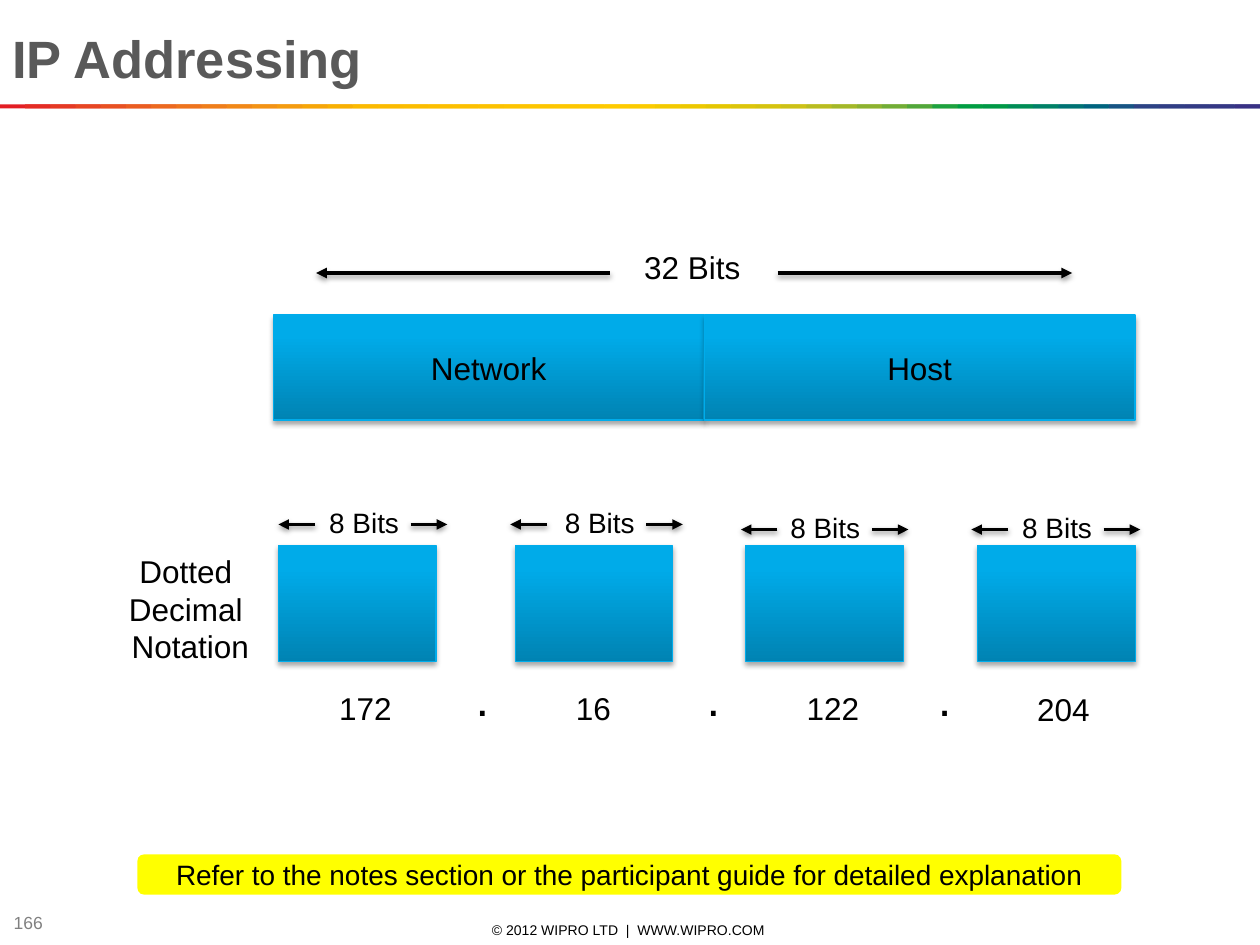
import pptx
import pptx.util
import pptx.dml.color
import pptx.enum.shapes
import pptx.enum.text
import pptx.oxml
import pptx.oxml.ns

Pt = pptx.util.Pt
SHAPE = pptx.enum.shapes.MSO_SHAPE
ALIGN = pptx.enum.text.PP_ALIGN
MIDDLE = pptx.enum.text.MSO_ANCHOR.MIDDLE
TOP = pptx.enum.text.MSO_ANCHOR.TOP
NAMESPACE = pptx.oxml.ns.nsdecls("a")

# Content
TITLE = "IP Addressing"
PAGE_NUMBER = "166"
COPYRIGHT = "© 2012 WIPRO LTD  |  WWW.WIPRO.COM "
NOTE = "Refer to the notes section or the participant guide for detailed explanation"
ADDRESS_PARTS = ["Network", "Host"]
NOTATION = ["Dotted ", "Decimal ", "Notation"]
# value, value centre, value top, square left, label centre, label top, left tip, right tip
OCTETS = [
    ("172", 208.8, 390.2, 159.1, 208.1, 285.1, 159.1, 255.6),
    ("16", 339.1, 390.2, 294.5, 342.7, 285.1, 291.6, 390.2),
    ("122", 475.9, 390.2, 426.2, 471.6, 288, 423.4, 519.1),
    ("204", 607.7, 391, 558.7, 604.1, 288, 555.1, 651.6),
]
RAINBOW = """
    E31E24 E42C24 E53A24 E74623 E85122 EA5D21 EC691F EE741D EF7E1A F18817
    F39314 F49C0F F6A607 F8B002 FBBA00 FBBB00 FBBD00 FCBF00 FCC000 FCC200
    FDC400 FDC600 FDC700 FEC900 FECB00 FBCB00 F3CA00 ECC800 E4C602 DCC50A
    D5C30E CCC117 B8BC21 A3B829 8CB230 71AD36 51A73B 1DA240 009D43 009846
    008C57 008068 007275 00637F 185384 2E4285 313E85 333B85 353885 393185
""".split()
BLUE_STOPS = [(0, "0083B3"), (80, "00ABE9"), (100, "00ABEA")]

PAGE_WIDTH, PAGE_HEIGHT = 720, 540

deck = pptx.Presentation()
deck.slide_width, deck.slide_height = Pt(PAGE_WIDTH), Pt(PAGE_HEIGHT)
page = deck.slides.add_slide(deck.slide_layouts[6])


def colour(value):
    return pptx.dml.color.RGBColor.from_string(value)


def write(box, lines, size, ink="000000", bold=False, align=ALIGN.CENTER,
          anchor=MIDDLE, wrap=True):
    frame = box.text_frame
    frame.word_wrap = wrap
    frame.vertical_anchor = anchor
    for index, line in enumerate(lines):
        para = frame.paragraphs[0] if index == 0 else frame.add_paragraph()
        para.alignment = align
        span = para.add_run()
        span.text = line
        span.font.name, span.font.size = "Arial", Pt(size)
        span.font.bold = bold
        span.font.color.rgb = colour(ink)


def add_text(left, top, width, height, lines, size, **style):
    box = page.shapes.add_textbox(Pt(left), Pt(top), Pt(width), Pt(height))
    write(box, lines, size, **style)


def add_label(centre, top, width, height, lines, size):
    add_text(centre - width / 2, top, width, height, lines, size, anchor=TOP, wrap=False)


def add_plain(kind, left, top, width, height, fill):
    shape = page.shapes.add_shape(kind, Pt(left), Pt(top), Pt(width), Pt(height))
    shape.shadow.inherit = False
    shape.fill.solid()
    shape.fill.fore_color.rgb = colour(fill)
    shape.line.fill.background()
    return shape


def cast_shadow(properties, opacity, distance):
    properties.append(pptx.oxml.parse_xml(
        f'<a:effectLst {NAMESPACE}><a:outerShdw blurRad="{int(Pt(3.1))}" '
        f'dist="{int(Pt(distance))}" dir="5400000" rotWithShape="0"><a:srgbClr val="000000">'
        f'<a:alpha val="{opacity * 1000}"/></a:srgbClr></a:outerShdw></a:effectLst>'))


def add_block(left, top, width, height):
    block = page.shapes.add_shape(SHAPE.RECTANGLE, Pt(left), Pt(top), Pt(width), Pt(height))
    block.fill.gradient()
    block.fill.gradient_angle = 90
    properties = block._element.spPr
    stops = properties.find(".//" + pptx.oxml.ns.qn("a:gsLst"))
    for stop in list(stops):
        stops.remove(stop)
    for position, value in BLUE_STOPS:
        stops.append(pptx.oxml.parse_xml(
            f'<a:gs {NAMESPACE} pos="{position * 1000}"><a:srgbClr val="{value}"/></a:gs>'))
    block.line.color.rgb = colour("00ACEB")
    block.line.width = Pt(0.75)
    cast_shadow(properties, 35, 1.8)
    return block


def add_arrow(start, tip, y):
    arrow = page.shapes.add_connector(
        pptx.enum.shapes.MSO_CONNECTOR.STRAIGHT, Pt(start), Pt(y), Pt(tip), Pt(y))
    arrow.line.color.rgb = colour("000000")
    arrow.line.width = Pt(2)
    outline = arrow._element.spPr.find(pptx.oxml.ns.qn("a:ln"))
    outline.append(pptx.oxml.parse_xml(f'<a:tailEnd {NAMESPACE} type="triangle"/>'))
    cast_shadow(arrow._element.spPr, 38, 1.6)


# Footer
add_text(246.2, 525.6, 228.2, 11.5, [COPYRIGHT], 8)
add_text(0.7, 519.8, 54, 15.1, [PAGE_NUMBER], 10, ink="808080", align=ALIGN.LEFT)

# Rainbow rule: each piece runs under the next one
step = PAGE_WIDTH / len(RAINBOW)
for index, value in enumerate(RAINBOW):
    left = index * step
    add_plain(SHAPE.RECTANGLE, left, 59.6, min(2 * step, PAGE_WIDTH - left), 2.3, value)

# Title
add_text(0, 10.8, PAGE_WIDTH, 43.9, [TITLE], 30, ink="595959", bold=True, align=ALIGN.LEFT)

# The 32-bit address
part_width = 246.2
for index, name in enumerate(ADDRESS_PARTS):
    write(add_block(156.2 + index * part_width, 180, part_width, 60), [name], 18)
add_arrow(348.5, 180.7, 156)
add_arrow(444.4, 612.6, 156)
add_label(395.6, 138.2, 69.8, 29, ["32 Bits"], 18)

# The four octets
arrow_length = 20.9
for value, value_centre, value_top, left, label_centre, label_top, left_tip, right_tip in OCTETS:
    add_block(left, 311.8, 90, 66.2)
    arrow_y = label_top + 14.6
    add_arrow(left_tip + arrow_length, left_tip, arrow_y)
    add_arrow(right_tip - arrow_length, right_tip, arrow_y)
    add_label(label_centre, label_top, 54.7, 26.6, ["8 Bits"], 16)
    add_label(value_centre, value_top, 44.6, 29, [value], 18)

# Dots between the octets
for gap in range(len(OCTETS) - 1):
    add_label(275.6 + 132.1 * gap, 378, 22.3, 41, ["."], 28)

# Row caption
add_label(108.7, 311.8, 85, 72.7, NOTATION, 18)

# Note bar
note = add_plain(SHAPE.ROUNDED_RECTANGLE, 78.5, 488.2, 562.3, 23, "FFFF00")
write(note, [NOTE], 16)

deck.save("out.pptx")
